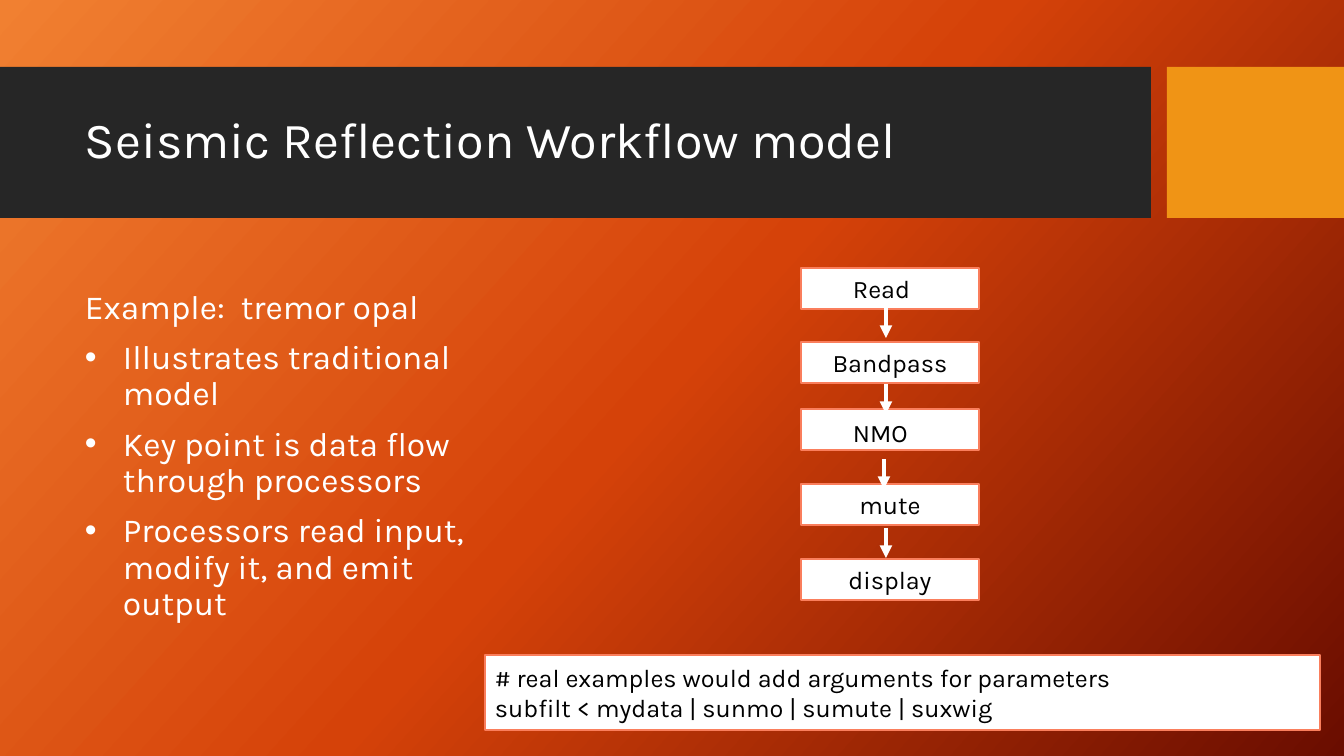
"""Build the seismic reflection workflow slide."""
import pptx
import pptx.util
import pptx.dml.color
import pptx.enum.shapes
import pptx.enum.text
import pptx.oxml
import pptx.oxml.ns
import copy

RGB = pptx.dml.color.RGBColor
WHITE = RGB(0xFF, 0xFF, 0xFF)
BLACK = RGB(0, 0, 0)
DARK = RGB(0x26, 0x26, 0x26)
AMBER = RGB(0xF0, 0x94, 0x15)
CORAL = RGB(0xFA, 0x7E, 0x5C)
GLOW = [(0, RGB(0xF1, 0x80, 0x31)), (0.5, RGB(0xD5, 0x42, 0x09)),
        (1, RGB(0x6A, 0x0D, 0x00))]

TITLE = "Seismic Reflection Workflow model"
LEAD = "Example:  tremor opal"
POINTS = ["Illustrates traditional model",
          "Key point is data flow through processors",
          "Processors read input, modify it, and emit output"]
STEPS = [("", 268), ("Bandpass", 342), ("", 409), ("mute", 484), ("display", 559)]
LABELS = [("Read", (843, 268, 137, 41)), ("NMO", (843, 412, 84, 41))]
ARROWS = [(886, 308), (886, 384), (884, 459), (886, 528)]
CODE = ["# real examples would add arguments for parameters",
        "subfilt < mydata | sunmo | sumute | suxwig"]

BANDS = [((0, 67, 1151, 151), DARK), ((1167, 67, 177, 151), AMBER)]
STEP_X, STEP_W, STEP_H = 801, 178, 41
ARROW_H = 30
INDENT = 38

ALIGN = pptx.enum.text.PP_ALIGN
MIDDLE = pptx.enum.text.MSO_ANCHOR.MIDDLE
TOP = pptx.enum.text.MSO_ANCHOR.TOP
HEAD = {"size": 36, "color": WHITE, "para": {"line_spacing": 0.9}}
BODY = {"size": 24, "color": WHITE,
        "para": {"line_spacing": 0.9, "space_before": pptx.util.Pt(10)}}
NOTE = {"size": 18, "color": BLACK, "para": {"alignment": ALIGN.LEFT}}
STEP = {"size": 18, "color": BLACK, "para": {"alignment": ALIGN.CENTER}}


def px(num):
    return round(num * 914400 / 100.8)


def tag(xml):
    return pptx.oxml.parse_xml(xml.replace("/>", f" {pptx.oxml.ns.nsdecls('a')}/>"))


def write(shape, lines, style, anchor=MIDDLE):
    frame = shape.text_frame
    for name, value in {"word_wrap": True, "vertical_anchor": anchor}.items():
        setattr(frame, name, value)
    frame.text = "\n".join(lines)
    for para in frame.paragraphs:
        for name, value in style["para"].items():
            setattr(para, name, value)
        for run in para.runs:
            font = {"name": "Karla", "size": pptx.util.Pt(style["size"])}
            for name, value in font.items():
                setattr(run.font, name, value)
            run.font.color.rgb = style["color"]
    return frame


def box(shapes, place, fill, edge=None):
    rect = shapes.add_shape(pptx.enum.shapes.MSO_SHAPE.RECTANGLE, *map(px, place))
    rect.shadow.inherit = False
    rect.fill.solid()
    rect.fill.fore_color.rgb = fill
    if edge is None:
        rect.line.fill.background()
    else:
        rect.line.color.rgb = edge
        rect.line.width = pptx.util.Pt(1)
    return rect


def arrow(shapes, left, top):
    line = shapes.add_connector(pptx.enum.shapes.MSO_CONNECTOR.STRAIGHT,
                                px(left), px(top), px(left), px(top + ARROW_H))
    line.line.color.rgb = WHITE
    line.line.width = pptx.util.Pt(3)
    props = line.element.spPr
    props.find(pptx.oxml.ns.qn("a:ln")).append(tag('<a:tailEnd type="triangle"/>'))
    props.append(tag("<a:effectLst/>"))


def paint(slide):
    fill = slide.background.fill
    fill.gradient()
    fill.gradient_angle = 360 - 42
    stops = next(slide.element.iter(pptx.oxml.ns.qn("a:gsLst")))
    while len(stops) < len(GLOW):
        stops.append(copy.deepcopy(stops[0]))
    for stop, (spot, color) in zip(fill.gradient_stops, GLOW):
        stop.position = spot
        stop.color.rgb = color


def main():
    deck = pptx.Presentation()
    deck.slide_width, deck.slide_height = px(1344), px(756)
    slide = deck.slides.add_slide(deck.slide_layouts[6])
    paint(slide)
    shapes = slide.shapes
    for place, color in BANDS:
        box(shapes, place, color)

    write(shapes.add_textbox(*map(px, (75, 83, 1059, 119))), [TITLE], HEAD)
    body = write(shapes.add_textbox(*map(px, (75, 258, 427, 397))),
                 [LEAD] + POINTS, BODY)
    for para in body.paragraphs[1:]:
        props = para._p.get_or_add_pPr()
        for name, value in {"marL": INDENT, "indent": -INDENT}.items():
            props.set(name, str(px(value)))
        props.append(tag('<a:buFont typeface="Arial"/>'))
        props.append(tag('<a:buChar char="•"/>'))

    flow = shapes.add_group_shape().shapes
    for text, top in STEPS:
        rect = box(flow, (STEP_X, top, STEP_W, STEP_H), WHITE, CORAL)
        if text:
            write(rect, [text], STEP)
    for text, place in LABELS:
        write(flow.add_textbox(*map(px, place)), [text], NOTE, TOP)
    for left, top in ARROWS:
        arrow(flow, left, top)

    write(box(shapes, (485, 655, 835, 75), WHITE, CORAL), CODE, NOTE)
    deck.save("out.pptx")


if __name__ == "__main__":
    main()
